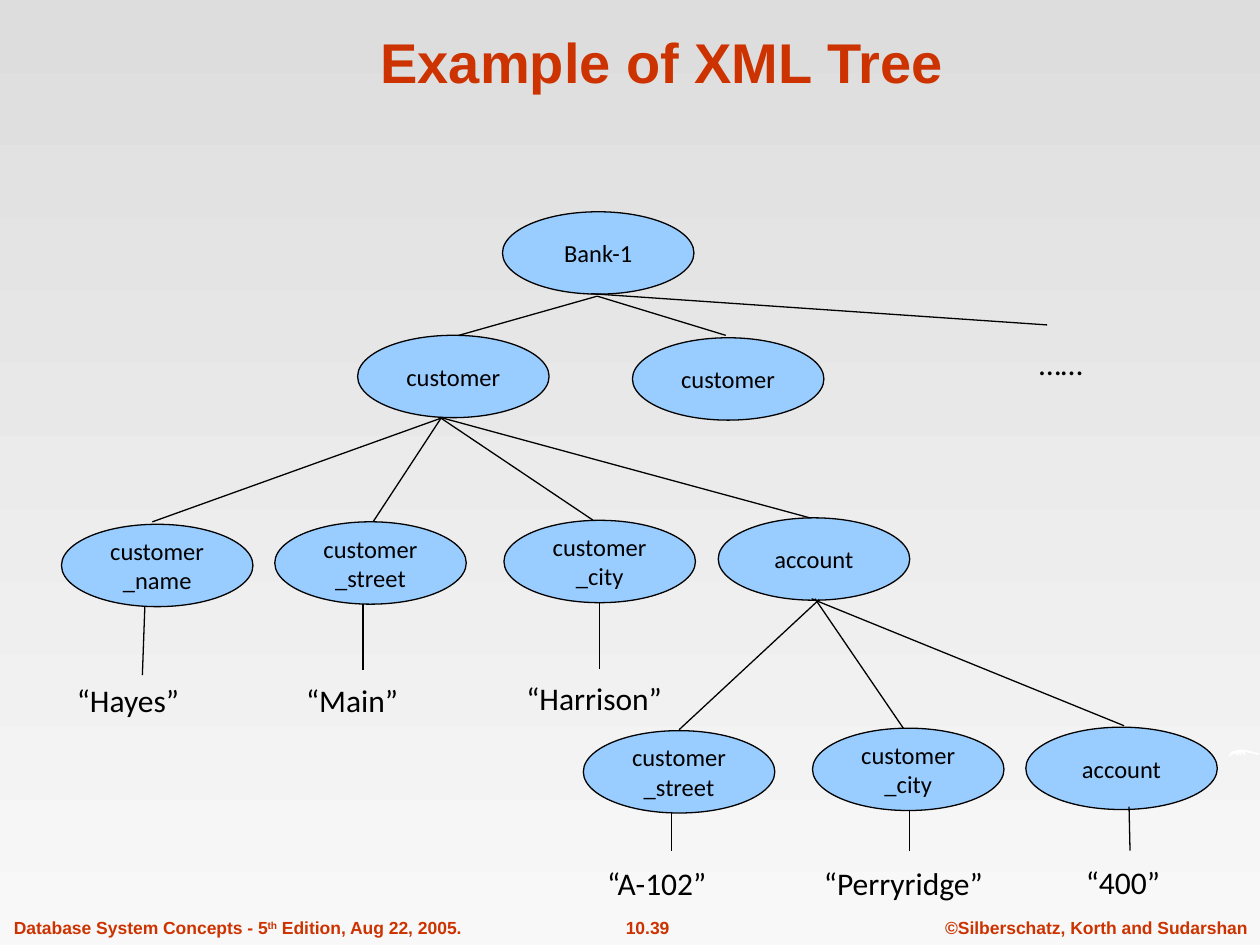
from pptx import Presentation, util as u
from pptx.dml.color import RGBColor
from pptx.enum import shapes, text
from pptx.oxml.ns import qn
from lxml import etree

HUES = {"top": "DDDDDD", "base": "F8F8F8", "red": "CC3300",
        "node": "99CCFF", "ink": "000000", "white": "FFFFFF"}
NODE_W, NODE_H = 3.86, 1.66

NODES = [
    ("Bank-1", 10.13, 4.27),
    ("customer", 7.21, 6.76),
    ("customer", 12.75, 6.81),
    ("customer\n_name", 1.24, 10.57),
    ("customer\n_street", 5.54, 10.52),
    ("customer\n_city", 10.16, 10.49),
    ("account", 14.48, 10.44),
    ("customer\n_street", 11.76, 14.73),
    ("customer\n_city", 16.38, 14.68),
    ("account", 20.68, 14.66),
]
FANS = [
    ((12.04, 5.97), [(9.25, 6.76), (14.63, 6.76)]),
    ((11.91, 5.92), [(21.11, 6.55)]),
    ((8.89, 8.43), [(3.07, 10.52), (7.52, 10.52), (11.96, 10.49)]),
    ((8.86, 8.41), [(16.33, 10.44)]),
    ((16.51, 12.09), [(13.69, 14.71)]),
    ((16.43, 12.07), [(18.21, 14.68)]),
    ((16.36, 12.07), [(22.66, 14.63)]),
    ((2.92, 12.22), [(2.87, 13.61)]),
    ((7.32, 12.17), [(7.32, 13.51)]),
    ((12.09, 12.14), [(12.09, 13.49)]),
    ((13.54, 16.36), [(13.54, 17.15)]),
    ((18.34, 16.33), [(18.34, 17.15)]),
    ((22.76, 16.26), [(22.78, 17.15)]),
]
LEAVES = [
    ("“Hayes”", 1.3, 13.61, 2.77),
    ("“Main”", 5.92, 13.61, 2.44),
    ("“Harrison”", 10.36, 13.56, 3.56),
    ("“A-102”", 11.99, 17.3, 2.67),
    ("“Perryridge”", 16.36, 17.3, 4.11),
    ("“400”", 21.64, 17.27, 2.06),
    ("……", 20.7, 6.81, 1.5),
]
FOOTS = [
    (["Database System Concepts - 5", "th", " Edition, Aug 22, 2005."],
     0.03, 9.55, "LEFT"),
    (["10.39"], 11.71, 2.69, "CENTER"),
    (["©Silberschatz, Korth and Sudarshan"], 18.8, 6.6, "CENTER"),
]
SWOOSH = [
    (24.77, 15.27), (24.79, 15.19), (24.87, 15.14), (24.99, 15.11),
    (25.12, 15.12), (25.27, 15.16), (25.4, 15.19), (25.37, 15.22),
    (25.25, 15.19), (25.1, 15.16), (25.1, 15.24), (25.02, 15.16),
    (25.02, 15.24), (24.94, 15.16), (24.97, 15.24), (24.89, 15.19),
    (24.82, 15.22),
]


def rgb(name):
    return RGBColor.from_string(HUES[name])


class Tree:
    def __init__(self, slide):
        self.slide = slide
        self.shapes = slide.shapes

    def style(self, frame, size, font, hue, bold=False, align="LEFT"):
        for para in frame.paragraphs:
            para.alignment = getattr(text.PP_ALIGN, align)
            for run in para.runs:
                run.font.size = u.Pt(size)
                run.font.name = font
                run.font.bold = bold
                run.font.color.rgb = rgb(hue)

    def back(self):
        fill = self.slide.background.fill
        fill.gradient()
        fill.gradient_angle = 270
        for stop, hue in zip(fill.gradient_stops, ("top", "base")):
            stop.color.rgb = rgb(hue)

    def title(self, words):
        head = self.shapes.title
        head.left, head.top = u.Cm(2.13), u.Cm(0.33)
        head.width, head.height = u.Cm(22.43), u.Cm(1.7)
        frame = head.text_frame
        frame.text = words
        frame.vertical_anchor = text.MSO_ANCHOR.BOTTOM
        self.style(frame, 32, "Arial", "red", True, "CENTER")

    def node(self, words, x, y):
        oval = self.shapes.add_shape(
            shapes.MSO_SHAPE.OVAL, u.Cm(x), u.Cm(y), u.Cm(NODE_W), u.Cm(NODE_H))
        oval.shadow.inherit = False
        oval.fill.solid()
        oval.fill.fore_color.rgb = rgb("node")
        oval.line.color.rgb = rgb("ink")
        oval.line.width = u.Pt(0.75)
        frame = oval.text_frame
        frame.text = words
        frame.word_wrap = False
        frame.vertical_anchor = text.MSO_ANCHOR.MIDDLE
        self.style(frame, 14, "Calibri", "ink", align="CENTER")

    def link(self, start, end):
        line = self.shapes.add_connector(
            shapes.MSO_CONNECTOR.STRAIGHT, *(u.Cm(v) for v in start + end))
        line.line.color.rgb = rgb("ink")
        line.line.width = u.Pt(0.75)
        etree.SubElement(line._element.spPr, qn("a:effectLst"))

    def box(self, x, y, w, h):
        frame = self.shapes.add_textbox(
            u.Cm(x), u.Cm(y), u.Cm(w), u.Cm(h)).text_frame
        frame.word_wrap = False
        return frame

    def leaf(self, words, x, y, w):
        frame = self.box(x, y, w, 1.02)
        frame.text = words
        self.style(frame, 18, "Calibri", "ink")

    def foot(self, parts, x, w, align):
        frame = self.box(x, 18.36, w, 0.69)
        for part in parts:
            run = frame.paragraphs[0].add_run()
            run.text = part
            if part == "th":
                run._r.get_or_add_rPr().set("baseline", "30000")
        self.style(frame, 10, "Arial", "red", True, align)

    def swoosh(self, points):
        first, *rest = [(u.Cm(x), u.Cm(y)) for x, y in points]
        form = self.shapes.build_freeform(*first)
        form.add_line_segments(rest, close=True)
        shape = form.convert_to_shape()
        shape.shadow.inherit = False
        shape.fill.solid()
        shape.fill.fore_color.rgb = rgb("white")
        shape.line.fill.background()


def main():
    deck = Presentation()
    deck.slide_width, deck.slide_height = u.Cm(25.4), u.Cm(19.05)
    tree = Tree(deck.slides.add_slide(deck.slide_layouts[5]))
    tree.back()
    for foot in FOOTS:
        tree.foot(*foot)
    tree.swoosh(SWOOSH)
    tree.title("Example of XML Tree")
    for node in NODES:
        tree.node(*node)
    for start, ends in FANS:
        for end in ends:
            tree.link(start, end)
    for leaf in LEAVES:
        tree.leaf(*leaf)
    deck.save("out.pptx")


if __name__ == "__main__":
    main()
